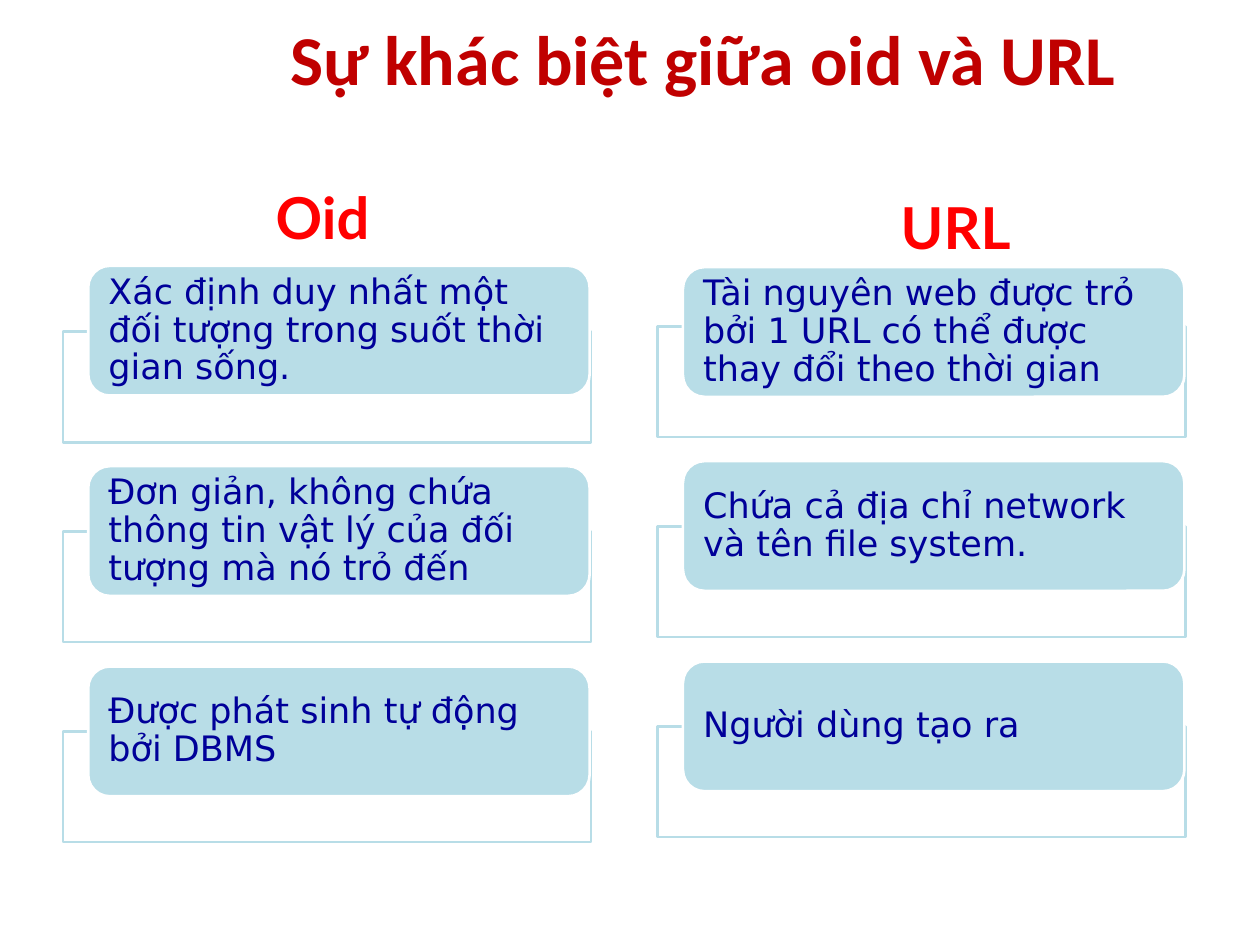
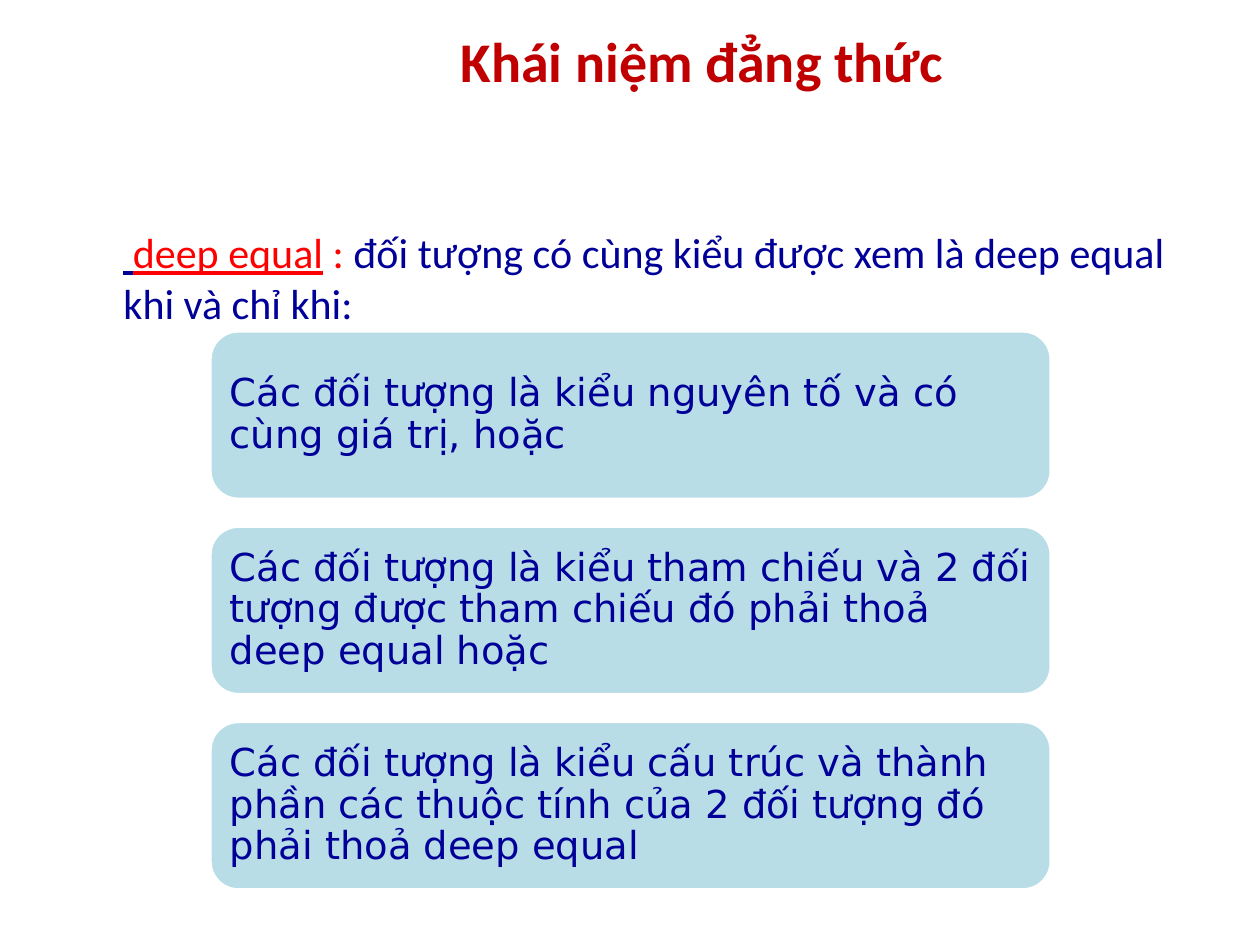
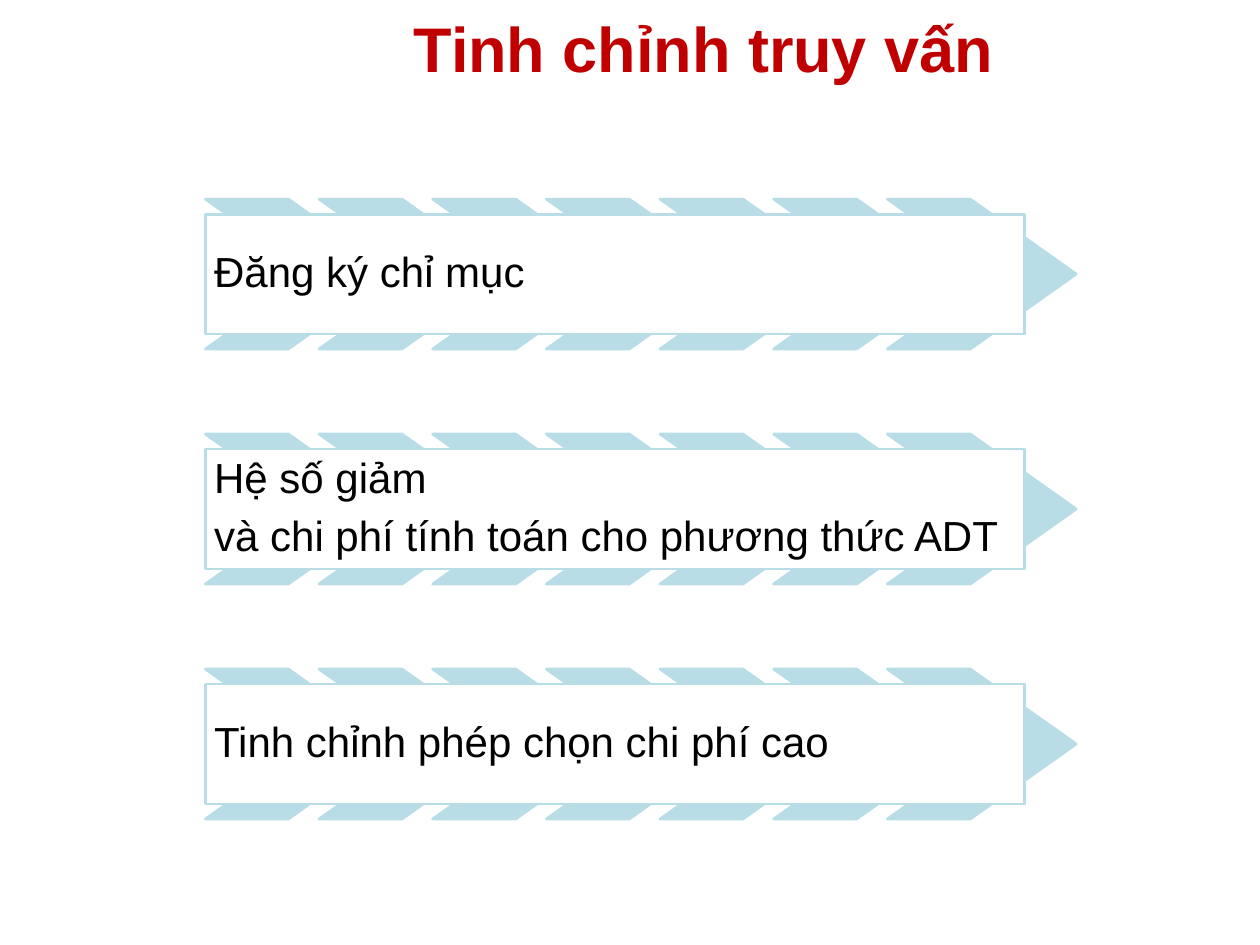
from pptx import Presentation
from pptx.dml.color import RGBColor
from pptx.enum.shapes import MSO_SHAPE as Kind
from pptx.enum.text import MSO_ANCHOR as Anchor, MSO_AUTO_SIZE as Fit, PP_ALIGN as Align
from pptx.util import Inches, Pt
from lxml import etree

RED, BRIGHT, NAVY, SKY, WHITE, BLACK = "C00000", "FF0000", "000099", "B8DDE7", "FFFFFF", "000000"
CARD = "DejaVu Sans"

SIDES = [
    {"head": "Oid", "spot": (2.09, 1.39, 0.97, 0.66), "left": 0.5, "top": 2.63, "cards": [
        (2.11, "Xác định duy nhất một đối tượng trong suốt thời gian sống."),
        (3.7, "Đơn giản, không chứa thông tin vật lý của đối tượng mà nó trỏ đến"),
        (5.29, "Được phát sinh tự động bởi DBMS")]},
    {"head": "URL", "spot": (7.05, 1.47, 1.15, 0.66), "left": 5.22, "top": 2.59, "cards": [
        (2.12, "Tài nguyên web được trỏ bởi 1 URL có thể được thay đổi theo thời gian"),
        (3.66, "Chứa cả địa chỉ network và tên file system."),
        (5.25, "Người dùng tạo ra")]},
]
INTRO = [
    (" ", NAVY, True),
    ("deep equal", BRIGHT, True),
    (" : ", BRIGHT, False),
    ("đối tượng có cùng kiểu được xem là deep equal khi và chỉ khi:", NAVY, False),
]
CASES = [
    "Các đối tượng là kiểu nguyên tố và có cùng giá trị, hoặc",
    "Các đối tượng là kiểu tham chiếu và 2 đối tượng được tham chiếu đó phải thoả deep equal hoặc",
    "Các đối tượng là kiểu cấu trúc và thành phần các thuộc tính của 2 đối tượng đó phải thoả deep equal",
]
STEPS = [
    "Đăng ký chỉ mục",
    "Hệ số giảm\nvà chi phí tính toán cho phương thức ADT",
    "Tinh chỉnh phép chọn chi phí cao",
]


def paint(color, value):
    color.rgb = RGBColor.from_string(value)


def style(run, face, size, color, bold=False):
    font = run.font
    font.name, font.size, font.bold = face, Pt(size), bold
    paint(font.color, color)


def place(shape, spot):
    shape.left, shape.top, shape.width, shape.height = map(Inches, spot)


def start(deck, layout, text, spot, face, size):
    slide = deck.slides.add_slide(deck.slide_layouts[layout])
    title = slide.shapes.title
    place(title, spot)
    frame = title.text_frame
    frame.text = text
    frame.auto_size = Fit.NONE
    frame.vertical_anchor = Anchor.MIDDLE
    para = frame.paragraphs[0]
    para.alignment = Align.CENTER
    style(para.runs[0], face, size, RED, True)
    return slide


def draw(group, kind, spot, fill, line):
    shape = group.shapes.add_shape(kind, *map(Inches, spot))
    shape.shadow.inherit = False
    shape.fill.solid()
    paint(shape.fill.fore_color, fill)
    paint(shape.line.color, line)
    shape.line.width = Pt(1.5)
    return shape


def write(shape, text, face, size, color, side, edge):
    frame = shape.text_frame
    frame.text = text
    frame.word_wrap = True
    frame.vertical_anchor = Anchor.MIDDLE
    frame.margin_left = frame.margin_right = Inches(side)
    frame.margin_top = frame.margin_bottom = Inches(edge)
    paras = frame.paragraphs
    for para in paras:
        para.alignment = Align.LEFT
        para.line_spacing = Pt(25) if len(paras) > 1 else 0.9
        style(para.runs[0], face, size, color)
    for para in paras[:-1]:
        para.space_after = Pt(8.4)


def compare(deck):
    slide = start(deck, 5, "Sự khác biệt giữa oid và URL", (1.08, -0.17, 9, 1.25), "Calibri", 40)
    for side in SIDES:
        group = slide.shapes.add_group_shape()
        left = side["left"]
        for i, (top, text) in enumerate(side["cards"]):
            draw(group, Kind.RECTANGLE, (left, side["top"] + 1.587 * i, 4.19, 0.88), WHITE, SKY)
            card = draw(group, Kind.ROUNDED_RECTANGLE, (left + 0.2, top, 3.98, 1.03), SKY, WHITE)
            write(card, text, CARD, 20, NAVY, 0.11, 0)
        head = slide.shapes.add_textbox(*map(Inches, side["spot"]))
        frame = head.text_frame
        frame.text = side["head"]
        frame.word_wrap = False
        frame.auto_size = Fit.SHAPE_TO_FIT_TEXT
        style(frame.paragraphs[0].runs[0], "Lato", 33, BRIGHT, True)


def define(deck):
    slide = start(deck, 1, "Khái niệm đẳng thức", (1.75, 0.17, 7.65, 0.62), "Calibri", 32)
    body = slide.placeholders[1]
    place(body, (0.5, 1.75, 9, 4.95))
    body.text_frame.auto_size = Fit.NONE
    para = body.text_frame.paragraphs[0]
    para.space_before = Pt(4.8)
    props = para._p.get_or_add_pPr()
    props.set("marL", str(Inches(0.38)))
    props.set("indent", "0")
    etree.SubElement(props, props.tag.replace("pPr", "buNone"))
    for text, color, under in INTRO:
        run = para.add_run()
        run.text = text
        style(run, "Calibri", 24, color)
        run.font.underline = under
    group = slide.shapes.add_group_shape()
    for i, text in enumerate(CASES):
        card = draw(group, Kind.ROUNDED_RECTANGLE, (1.67, 2.63 + 1.55 * i, 6.67, 1.33), SKY, WHITE)
        write(card, text, CARD, 22, NAVY, 0.09, 0.09)


def tune(deck):
    slide = start(deck, 5, "Tinh chỉnh truy vấn", (1.67, 0, 7.83, 0.75), "Arial", 36)
    group = slide.shapes.add_group_shape()
    for i, text in enumerate(STEPS):
        top = 1.58 + 1.865 * i
        for j in range(7):
            arrow = draw(group, Kind.CHEVRON, (1.63 + 0.902 * j, top, 1.5, 1.19), SKY, SKY)
            arrow.adjustments[0] = 0.706
        bar = draw(group, Kind.RECTANGLE, (1.63, top + 0.12, 6.5, 0.95), WHITE, SKY)
        write(bar, text, "Arial", 24, BLACK, 0.07, 0.07)


def main():
    deck = Presentation()
    deck.slide_width, deck.slide_height = Inches(10), Inches(7.5)
    compare(deck)
    define(deck)
    tune(deck)
    deck.save("out.pptx")


if __name__ == "__main__":
    main()
